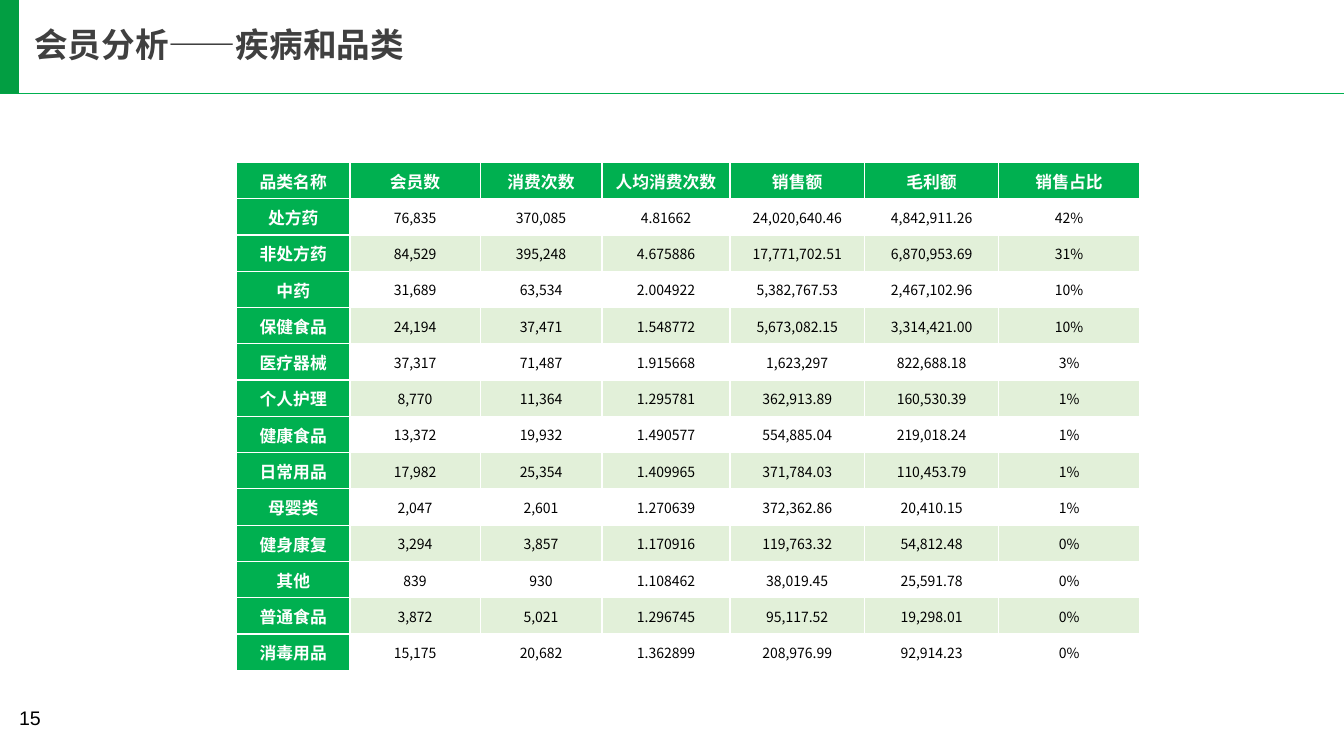
from dataclasses import dataclass

from lxml import etree
from pptx import Presentation
from pptx.dml.color import RGBColor
from pptx.enum.shapes import MSO_CONNECTOR, MSO_SHAPE
from pptx.enum.text import MSO_ANCHOR, MSO_AUTO_SIZE, PP_ALIGN
from pptx.oxml.ns import qn
from pptx.util import Pt

STRAIGHT = MSO_CONNECTOR.STRAIGHT
RECTANGLE = MSO_SHAPE.RECTANGLE
MIDDLE = MSO_ANCHOR.MIDDLE
NO_FIT = MSO_AUTO_SIZE.NONE
LEFT, CENTER = PP_ALIGN.LEFT, PP_ALIGN.CENTER


@dataclass(frozen=True)
class Theme:
    green: str = "00B050"
    accent: str = "029E42"
    band: str = "E2F0D9"
    white: str = "FFFFFF"
    black: str = "000000"
    title_gray: str = "404040"
    cjk_font: str = "Noto Sans CJK SC"
    number_font: str = "Arial"
    title_size: int = 24
    page_size: int = 14
    label_size: int = 12
    value_size: int = 10


theme = Theme()


def style(paragraph, font_name, size, color, bold=False):
    font = paragraph.font
    font.name = font_name
    font.size = Pt(size)
    font.bold = bold
    font.color.rgb = RGBColor.from_string(color)
    etree.SubElement(font._element, qn("a:ea"), typeface=font_name)


def add_borders(cell, color, width):
    properties = cell._tc.get_or_add_tcPr()
    for side in ("a:lnL", "a:lnR", "a:lnT", "a:lnB"):
        line = etree.SubElement(properties, qn(side), w=str(Pt(width)))
        fill = etree.SubElement(line, qn("a:solidFill"))
        etree.SubElement(fill, qn("a:srgbClr"), val=color)


deck = Presentation()
deck.slide_width = Pt(960)
deck.slide_height = Pt(540)
page = deck.slides.add_slide(deck.slide_layouts[5])

# Header
rule = page.shapes.add_connector(STRAIGHT, Pt(0), Pt(67), Pt(960), Pt(67))
rule.line.color.rgb = RGBColor.from_string(theme.green)
rule.line.width = Pt(1)
etree.SubElement(rule._element.spPr, qn("a:effectLst"))

title = page.shapes.title
title.left, title.top, title.width, title.height = Pt(24.5), Pt(20), Pt(453), Pt(26)
frame = title.text_frame
frame.margin_left = frame.margin_right = frame.margin_top = frame.margin_bottom = 0
frame.vertical_anchor = MIDDLE
frame.auto_size = NO_FIT
frame.text = "会员分析——疾病和品类"
heading = frame.paragraphs[0]
heading.alignment = LEFT
heading.line_spacing = 0.9
style(heading, theme.cjk_font, theme.title_size, theme.title_gray, bold=True)

marker = page.shapes.add_shape(RECTANGLE, Pt(0), Pt(0), Pt(13.5), Pt(67))
marker.shadow.inherit = False
marker.fill.solid()
marker.fill.fore_color.rgb = RGBColor.from_string(theme.accent)
marker.line.fill.background()

# Page number
page_number = page.shapes.add_textbox(Pt(6.5), Pt(500.5), Pt(65.5), Pt(29))
page_number.text_frame.word_wrap = True
page_number.text_frame.text = "15"
style(page_number.text_frame.paragraphs[0], theme.number_font, theme.page_size, theme.black)

# Category table
rows = [
    ("品类名称", "会员数", "消费次数", "人均消费次数", "销售额", "毛利额", "销售占比"),
    ("处方药", "76,835", "370,085", "4.81662", "24,020,640.46", "4,842,911.26", "42%"),
    ("非处方药", "84,529", "395,248", "4.675886", "17,771,702.51", "6,870,953.69", "31%"),
    ("中药", "31,689", "63,534", "2.004922", "5,382,767.53", "2,467,102.96", "10%"),
    ("保健食品", "24,194", "37,471", "1.548772", "5,673,082.15", "3,314,421.00", "10%"),
    ("医疗器械", "37,317", "71,487", "1.915668", "1,623,297", "822,688.18", "3%"),
    ("个人护理", "8,770", "11,364", "1.295781", "362,913.89", "160,530.39", "1%"),
    ("健康食品", "13,372", "19,932", "1.490577", "554,885.04", "219,018.24", "1%"),
    ("日常用品", "17,982", "25,354", "1.409965", "371,784.03", "110,453.79", "1%"),
    ("母婴类", "2,047", "2,601", "1.270639", "372,362.86", "20,410.15", "1%"),
    ("健身康复", "3,294", "3,857", "1.170916", "119,763.32", "54,812.48", "0%"),
    ("其他", "839", "930", "1.108462", "38,019.45", "25,591.78", "0%"),
    ("普通食品", "3,872", "5,021", "1.296745", "95,117.52", "19,298.01", "0%"),
    ("消毒用品", "15,175", "20,682", "1.362899", "208,976.99", "92,914.23", "0%"),
]
column_widths = (81, 93, 87, 91.5, 96, 96, 100.5)
row_height = 25.92

table = page.shapes.add_table(
    len(rows), len(column_widths), Pt(169), Pt(116),
    Pt(sum(column_widths)), Pt(row_height * len(rows)),
).table
table.horz_banding = False
for column, width in zip(table.columns, column_widths):
    column.width = Pt(width)

for row_index, values in enumerate(rows):
    table.rows[row_index].height = Pt(row_height)
    for column_index, value in enumerate(values):
        cell = table.cell(row_index, column_index)
        cell.margin_left = cell.margin_right = cell.margin_top = Pt(0.75)
        cell.margin_bottom = 0
        cell.vertical_anchor = MIDDLE
        add_borders(cell, theme.white, 1)

        is_label = row_index == 0 or column_index == 0
        if is_label or row_index % 2 == 0:
            cell.fill.solid()
            fill_color = theme.green if is_label else theme.band
            cell.fill.fore_color.rgb = RGBColor.from_string(fill_color)
        else:
            cell.fill.background()

        cell.text = value
        paragraph = cell.text_frame.paragraphs[0]
        paragraph.alignment = CENTER
        if is_label:
            style(paragraph, theme.cjk_font, theme.label_size, theme.white, bold=True)
        else:
            style(paragraph, theme.cjk_font, theme.value_size, theme.black)

deck.save("out.pptx")
